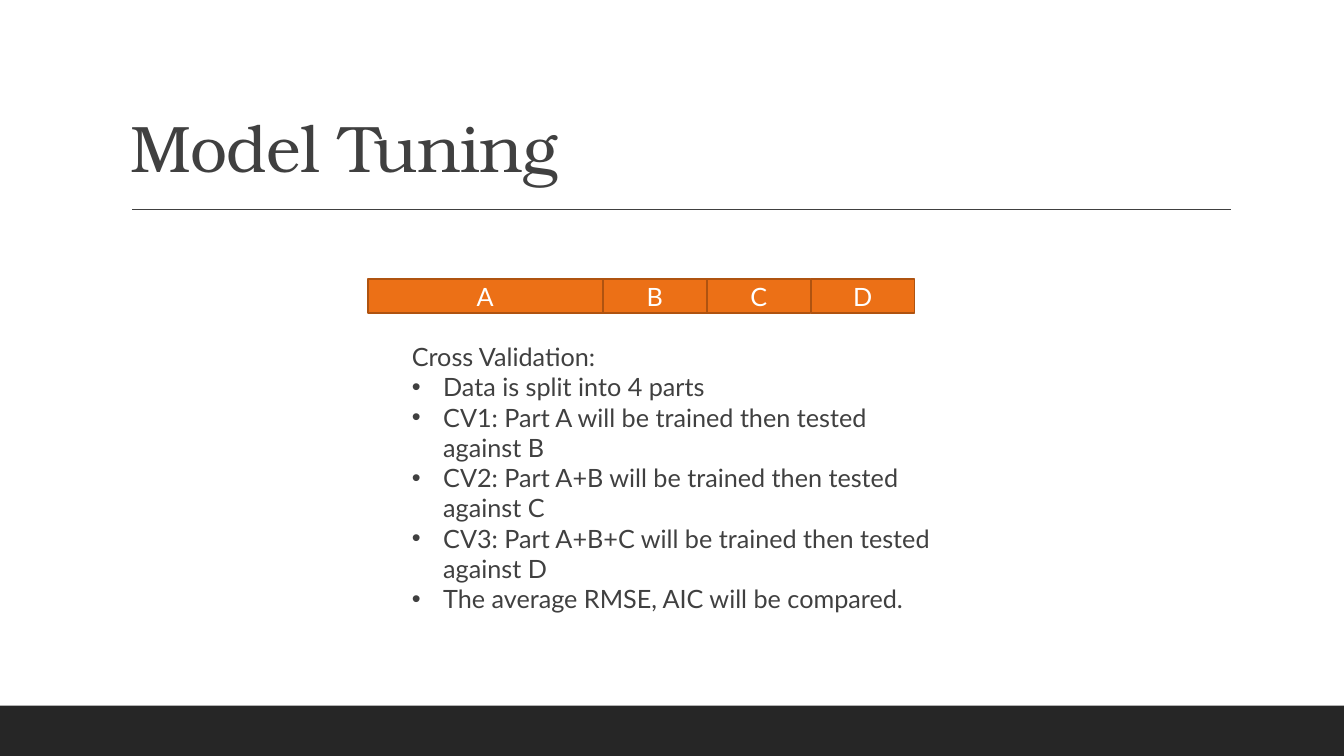
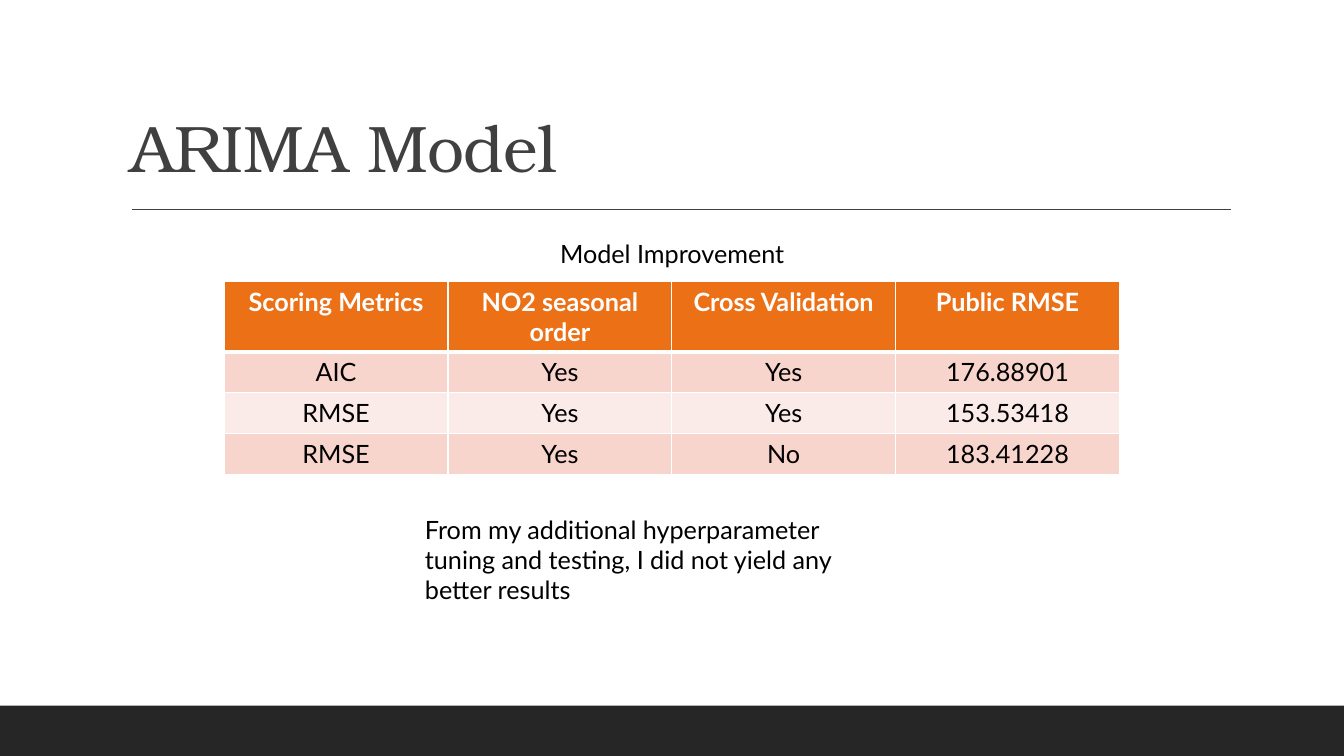
from lxml import etree
from pptx import Presentation
from pptx.dml.color import RGBColor
from pptx.enum import shapes, text
from pptx.oxml.ns import qn
from pptx.util import Cm, Pt

# Shared look
WHITE = RGBColor(0xFF, 0xFF, 0xFF)
BLACK = RGBColor(0x00, 0x00, 0x00)
DARK = RGBColor(0x26, 0x26, 0x26)
GRAY = RGBColor(0x40, 0x40, 0x40)
ORANGE = RGBColor(0xEC, 0x70, 0x16)
RUST = RGBColor(0xAF, 0x53, 0x10)
ROW_FILLS = (RGBColor(0xF8, 0xD5, 0xCC), RGBColor(0xFB, 0xEB, 0xE8))
BODY_FONT, TITLE_FONT = "Lato", "TeX Gyre Bonum"
WIDTH, HEIGHT = 33.87, 19.05
BAND_HEIGHT = 1.27
CENTER = text.PP_ALIGN.CENTER

# Content
TUNING_TITLE = "Model Tuning"
PARTS = [("A", 5.92), ("B", 2.62), ("C", 2.62), ("D", 2.62)]  # name, width
VALIDATION_HEAD = "Cross Validation:"
VALIDATION_STEPS = [
    "Data is split into 4 parts",
    "CV1: Part A will be trained then tested against B",
    "CV2: Part A+B will be trained then tested against C",
    "CV3: Part A+B+C will be trained then tested against D",
    "The average RMSE, AIC will be compared.",
]
ARIMA_TITLE = "ARIMA Model"
CAPTION = "Model Improvement"
RESULTS = [
    ("Scoring Metrics", "NO2 seasonal order", "Cross Validation", "Public RMSE"),
    ("AIC", "Yes", "Yes", "176.88901"),
    ("RMSE", "Yes", "Yes", "153.53418"),
    ("RMSE", "Yes", "No", "183.41228"),
]
CONCLUSION = ("From my additional hyperparameter tuning and testing, "
              "I did not yield any better results")


def style(frame, color, size=18, font=BODY_FONT, bold=False, align=None):
    for para in frame.paragraphs:
        para.alignment = align
        for span in para.runs:
            span.font.name, span.font.size = font, Pt(size)
            span.font.bold = bold
            span.font.color.rgb = color


def add_text(page, words, left, top, width, height, color, **look):
    box = page.shapes.add_textbox(Cm(left), Cm(top), Cm(width), Cm(height))
    frame = box.text_frame
    frame.word_wrap = True
    frame.text = words
    style(frame, color, **look)
    return frame


def add_block(page, left, top, width, height, fill, line=None):
    block = page.shapes.add_shape(shapes.MSO_SHAPE.RECTANGLE,
                                  Cm(left), Cm(top), Cm(width), Cm(height))
    block.shadow.inherit = False
    block.fill.solid()
    block.fill.fore_color.rgb = fill
    if line is None:
        block.line.fill.background()
    else:
        block.line.color.rgb = line
        block.line.width = Pt(1.25)
    return block


def add_page(deck, title):
    """Blank page with the footer band, the title and the rule below it."""
    page = deck.slides.add_slide(deck.slide_layouts[6])
    add_block(page, 0, HEIGHT - BAND_HEIGHT, WIDTH, BAND_HEIGHT, DARK)
    rule = page.shapes.add_connector(shapes.MSO_CONNECTOR.STRAIGHT,
                                     Cm(3.33), Cm(5.28), Cm(31.01), Cm(5.28))
    rule.line.color.rgb = GRAY
    rule.line.width = Pt(1)
    etree.SubElement(rule.element.spPr, qn("a:effectLst"))
    frame = add_text(page, title, 3.05, 0.79, 27.94, 4.04, GRAY,
                     size=47, font=TITLE_FONT)
    frame.vertical_anchor = text.MSO_ANCHOR.BOTTOM
    para = frame.paragraphs[0]
    para.line_spacing = 0.9
    para.runs[0].font.element.set("spc", "-50") if hasattr(
        para.runs[0].font, "element") else para.runs[0]._r.get_or_add_rPr().set("spc", "-50")
    return page


def add_bullet(para):
    props = para._p.get_or_add_pPr()
    props.set("marL", str(Cm(0.79)))
    props.set("indent", str(-Cm(0.79)))
    etree.SubElement(props, qn("a:buFont")).set("typeface", "Arial")
    etree.SubElement(props, qn("a:buChar")).set("char", "•")


def add_borders(cell, bottom):
    props = cell._tc.get_or_add_tcPr()
    for side, points in (("L", 1), ("R", 1), ("T", 1), ("B", bottom)):
        line = etree.SubElement(props, qn("a:ln" + side))
        line.set("w", str(Pt(points)))
        fill = etree.SubElement(line, qn("a:solidFill"))
        etree.SubElement(fill, qn("a:srgbClr")).set("val", str(WHITE))


def build_tuning(deck):
    page = add_page(deck, TUNING_TITLE)
    # Validation steps
    words = "\n".join([VALIDATION_HEAD] + VALIDATION_STEPS)
    frame = add_text(page, words, 10.13, 8.48, 13.61, 7.19, GRAY)
    for para in frame.paragraphs[1:]:
        add_bullet(para)
    # Data split bar
    left = 9.27
    for name, width in PARTS:
        part = add_block(page, left, 7.04, width, 0.84, ORANGE, RUST)
        part.text_frame.text = name
        part.text_frame.vertical_anchor = text.MSO_ANCHOR.MIDDLE
        style(part.text_frame, WHITE, align=CENTER)
        left += width


def build_arima(deck):
    page = add_page(deck, ARIMA_TITLE)
    add_text(page, CAPTION, 13.84, 5.87, 6.2, 1.02, BLACK, align=CENTER)
    # Results table
    col_width, heights = 5.64, (1.78, 1.03, 1.03, 1.03)
    rows, cols = len(RESULTS), len(RESULTS[0])
    table = page.shapes.add_table(rows, cols, Cm(5.65), Cm(7.09),
                                  Cm(col_width * cols), Cm(sum(heights))).table
    for column in table.columns:
        column.width = Cm(col_width)
    for r, record in enumerate(RESULTS):
        header = r == 0
        table.rows[r].height = Cm(heights[r])
        for c, value in enumerate(record):
            cell = table.cell(r, c)
            add_borders(cell, 3 if header else 1)
            cell.fill.solid()
            cell.fill.fore_color.rgb = ORANGE if header else ROW_FILLS[(r - 1) % 2]
            cell.text_frame.text = value
            style(cell.text_frame, WHITE if header else BLACK,
                  bold=header, align=CENTER)
    add_text(page, CONCLUSION, 10.46, 12.83, 12.14, 2.57, BLACK)


def main():
    deck = Presentation()
    deck.slide_width, deck.slide_height = Cm(WIDTH), Cm(HEIGHT)
    build_tuning(deck)
    build_arima(deck)
    deck.save("out.pptx")


if __name__ == "__main__":
    main()
